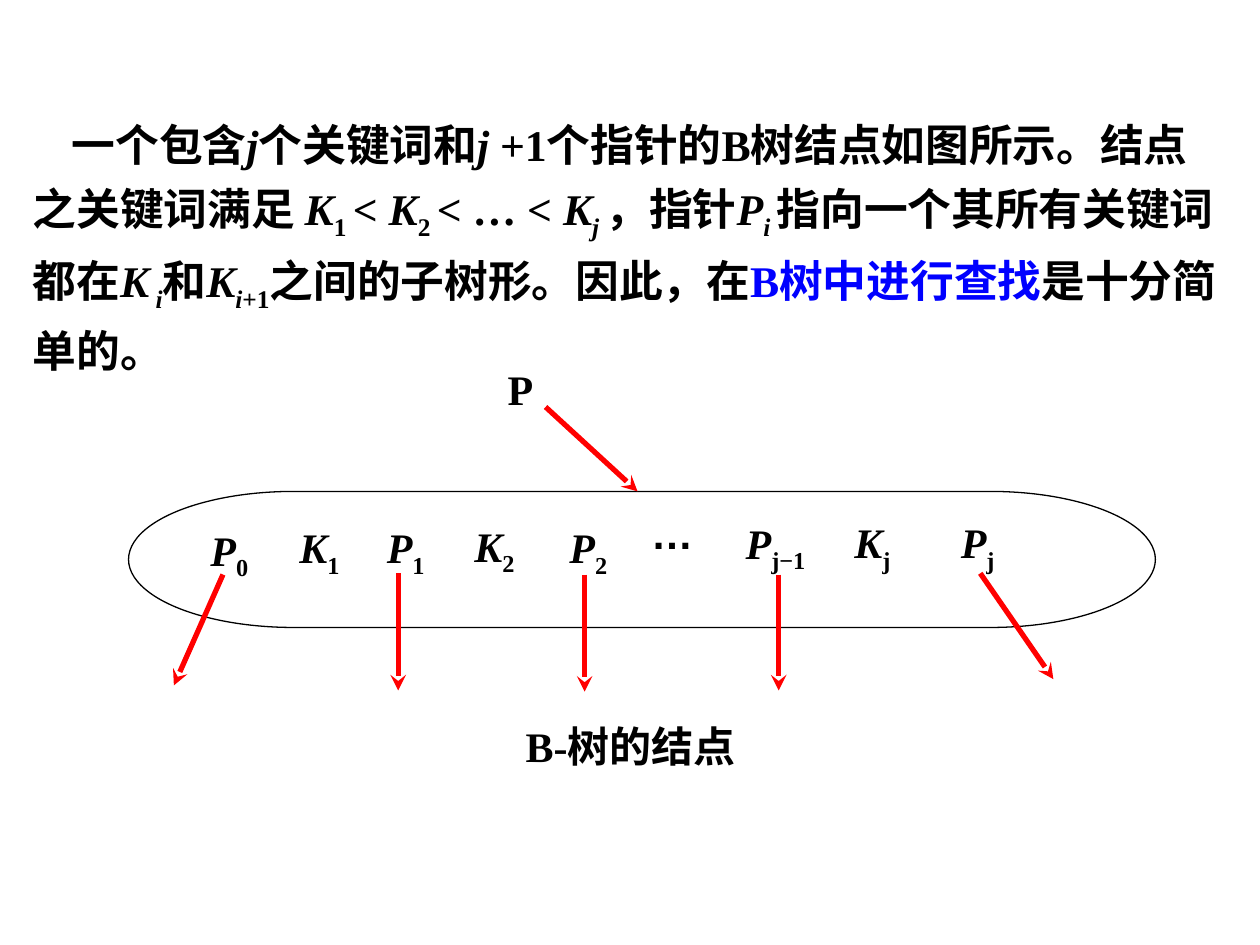
from lxml.etree import SubElement
from pptx import Presentation
from pptx.dml.color import RGBColor
from pptx.enum.shapes import MSO_CONNECTOR as Connector, MSO_SHAPE as Shape
from pptx.enum.text import PP_ALIGN as Align
from pptx.oxml.ns import qn
from pptx.util import Inches, Pt

BLACK = RGBColor(0, 0, 0)
WHITE = RGBColor(255, 255, 255)
RED = RGBColor(255, 0, 0)
BLUE = RGBColor(0, 0, 255)
SERIF, SANS, CJK = "Times New Roman", "Arial", "Noto Sans CJK SC"

# Run styles
PLAIN, ITALIC, SUB, ITALIC_SUB, KEY = "", "i", "s", "is", "k"

DESCRIPTION = [
    ("一个包含", PLAIN), ("j", ITALIC), ("个关键词和", PLAIN), ("j", ITALIC),
    (" +1个指针的B树结点如图所示。结点之关键词满足 ", PLAIN),
    ("K", ITALIC), ("1 ", SUB), ("< ", PLAIN),
    ("K", ITALIC), ("2 ", SUB), ("< … < ", PLAIN),
    ("K", ITALIC), ("j ", ITALIC_SUB), ("，指针", PLAIN),
    ("P", ITALIC), ("i ", ITALIC_SUB), ("指向一个其所有关键词都在", PLAIN),
    ("K", ITALIC), (" i", ITALIC_SUB), ("和", PLAIN),
    ("K", ITALIC), ("i", ITALIC_SUB), ("+1", SUB),
    ("之间的子树形。因此，在", PLAIN), ("B树中进行查找", KEY), ("是十分简单的。", PLAIN),
]

# letter, subscript, left, top, width, line spacing
FIELDS = [
    ("P", "0", 1.64, 4.16, 0.36, 1),
    ("K", "1", 2.34, 4.14, 0.39, 1),
    ("P", "1", 3.04, 4.14, 0.36, 1),
    ("K", "2", 3.73, 4.13, 0.39, 1),
    ("P", "2", 4.44, 4.14, 0.46, 1),
    ("P", "j−1", 5.85, 4.13, 0.61, 0.85),
    ("K", "j", 6.72, 4.1, 0.41, 1),
    ("P", "j", 7.56, 4.1, 0.4, 1),
]

# start x, start y, end x, end y
POINTERS = [
    (1.77, 4.56, 1.38, 5.44),
    (3.16, 4.55, 3.16, 5.48),
    (4.64, 4.56, 4.64, 5.49),
    (6.18, 4.56, 6.18, 5.48),
    (7.78, 4.55, 8.36, 5.39),
    (4.33, 3.23, 5.06, 3.9),
]


class Deck:
    def __init__(self, slide):
        self.slide = slide
        self.shapes = slide.shapes

    def run(self, p, text, style=PLAIN, size=24, font=SERIF):
        r = p.add_run()
        r.text = text
        r.font.name = font
        r.font.size = Pt(size)
        r.font.bold = True
        r.font.italic = "i" in style
        r.font.color.rgb = BLUE if "k" in style else BLACK
        rPr = r.font._element
        SubElement(rPr, qn("a:ea")).set("typeface", CJK)
        if "s" in style:
            rPr.set("baseline", "-25000")

    def text_box(self, x, y, w, h, spacing=1, wrap=False):
        """Add a centred box without insets and return its paragraph."""
        box = self.shapes.add_textbox(Inches(x), Inches(y), Inches(w), Inches(h))
        tf = box.text_frame
        tf.word_wrap = wrap
        tf.margin_left = tf.margin_right = tf.margin_top = tf.margin_bottom = 0
        p = tf.paragraphs[0]
        p.alignment = Align.CENTER
        p.line_spacing = spacing
        return p

    def description(self, x, y, w, h, runs):
        inset_x, inset_y = 0.1, 0.05
        p = self.text_box(x + inset_x, y + inset_y, w - 2 * inset_x,
                          h - 2 * inset_y, 1.2, wrap=True)
        p.alignment = Align.LEFT
        p._p.get_or_add_pPr().set("indent", str(Inches(0.31)))
        for text, style in runs:
            self.run(p, text, style, size=25)

    def field(self, letter, sub, x, y, w, spacing):
        p = self.text_box(x, y, w, 0.44, spacing)
        self.run(p, letter, ITALIC)
        self.run(p, sub, SUB)

    def node(self, x, y, w, h):
        sp = self.shapes.add_shape(Shape.FLOWCHART_TERMINATOR, Inches(x),
                                   Inches(y), Inches(w), Inches(h))
        sp.shadow.inherit = False
        sp.fill.solid()
        sp.fill.fore_color.rgb = WHITE
        sp.line.color.rgb = BLACK
        sp.line.width = Pt(0.75)

    def arrow(self, *ends):
        line = self.shapes.add_connector(Connector.STRAIGHT, *map(Inches, ends))
        line.line.color.rgb = RED
        line.line.width = Pt(3)
        SubElement(line.line._get_or_add_ln(), qn("a:tailEnd")).set("type", "stealth")
        SubElement(line._element.spPr, qn("a:effectLst"))


def main():
    prs = Presentation()
    prs.slide_width, prs.slide_height = Inches(10), Inches(7.5)
    deck = Deck(prs.slides.add_slide(prs.slide_layouts[6]))

    deck.description(0.16, 0.8, 9.69, 2.1, DESCRIPTION)
    deck.node(1.02, 3.9, 8.15, 1.08)
    for field in FIELDS:
        deck.field(*field)
    deck.run(deck.text_box(5.14, 4.03, 0.39, 0.66), "…", font=SANS)

    caption = deck.text_box(3.39, 5.72, 3.23, 0.4)
    deck.run(caption, "B-")
    deck.run(caption, "树的结点", font=CJK)

    for pointer in POINTERS:
        deck.arrow(*pointer)
    deck.run(deck.text_box(3.97, 2.96, 0.32, 0.32, 0.8), "P")

    prs.save("out.pptx")


if __name__ == "__main__":
    main()
